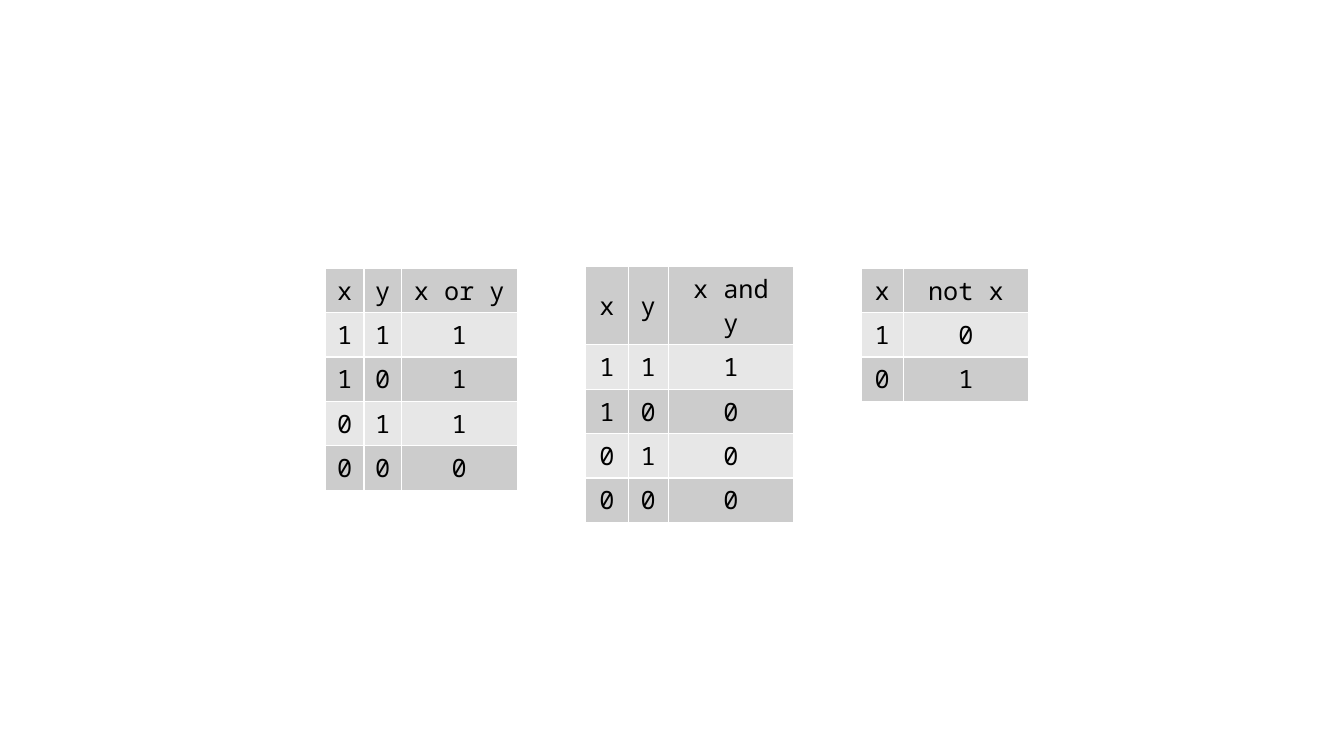
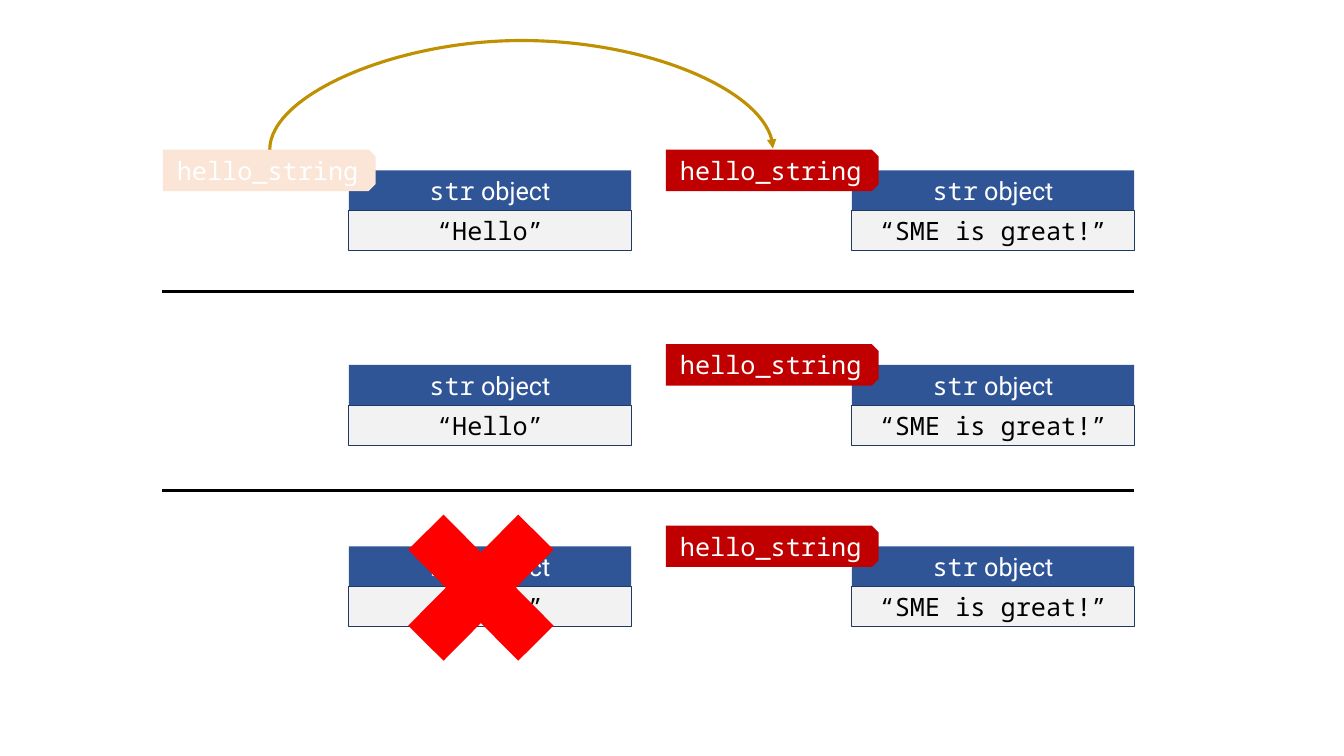
"""Build two slides: truth tables, and rebinding a name to a new string."""
from pptx import Presentation
from pptx import util as u
from pptx.dml.color import RGBColor
from pptx.enum import shapes, text
from pptx.oxml import ns
from lxml import etree

Inches = u.Inches
MONO, SANS = "Noto Sans Mono", "Roboto"
HUES = {
    "white": "FFFFFF", "black": "000000", "dark": "CCCCCC", "light": "E7E7E7",
    "blue": "2F5597", "navy": "203864", "pale": "F2F2F2", "faded": "FBE5D6",
    "red": "C00000", "cross": "FF0000", "gold": "BF9000",
}
RGB = {name: RGBColor.from_string(hue) for name, hue in HUES.items()}
KIND = shapes.MSO_SHAPE


def write(frame, runs, hue):
    para = frame.paragraphs[0]
    para.alignment = text.PP_ALIGN.CENTER
    for words, face in runs:
        run = para.add_run()
        run.text = words
        for key, value in {"name": face, "size": u.Pt(18), "bold": False}.items():
            setattr(run.font, key, value)
        run.font.color.rgb = RGB[hue]


def draw(kind, box, fill, runs=(), hue="white", edge=None):
    shape = slide.shapes.add_shape(kind, *map(Inches, box))
    shape.shadow.inherit = False
    shape.fill.solid()
    shape.fill.fore_color.rgb = RGB[fill]
    if edge:
        shape.line.color.rgb = RGB[edge]
        shape.line.width = u.Pt(0.75)
    else:
        shape.line.fill.background()
    frame = shape.text_frame
    form = {"word_wrap": True, "vertical_anchor": text.MSO_ANCHOR.MIDDLE,
            "margin_top": 0, "margin_bottom": 0}
    for key, value in form.items():
        setattr(frame, key, value)
    write(frame, runs, hue)
    return shape


deck = Presentation()
deck.slide_width, deck.slide_height = Inches(13.33), Inches(7.5)
blank = deck.slide_layouts[6]

slide = deck.slides.add_slide(blank)
PAIRS = ["11", "10", "01", "00"]
TABLES = [
    (3.23, 2.66, [0.38, 0.37, 1.15], ["x", "y", "x or y"], PAIRS, "1110"),
    (5.81, 2.64, [0.42, 0.4, 1.24], ["x", "y", "x and y"], PAIRS, "1000"),
    (8.54, 2.66, [0.42, 1.24], ["x", "not x"], ["1", "0"], "01"),
]
HIGH = 0.41
for left, top, wides, heads, inputs, outs in TABLES:
    rows = [heads] + [[*bits, out] for bits, out in zip(inputs, outs)]
    table = slide.shapes.add_table(
        len(rows), len(wides), Inches(left), Inches(top),
        Inches(sum(wides)), Inches(HIGH * len(rows))).table
    table.first_row = table.horz_banding = False
    for col, wide in zip(table.columns, wides):
        col.width = Inches(wide)
    for i, row in enumerate(rows):
        for j, words in enumerate(row):
            cell = table.cell(i, j)
            cell.vertical_anchor = text.MSO_ANCHOR.MIDDLE
            cell.fill.solid()
            cell.fill.fore_color.rgb = RGB["light" if i % 2 else "dark"]
            write(cell.text_frame, [(words, MONO)], "black")

slide = deck.slides.add_slide(blank)
OLD, NEW = 3.46, 8.45
WIDE, TALL = 2.8, 0.4
LONG, THIN = 2.11, 0.41
SHIFT = 0.79
TOPS = [1.69, 3.62, 5.42]
for top in TOPS:
    for left, words, tag in [(OLD, "“Hello”", "faded"), (NEW, "“SME is great!”", "red")]:
        draw(KIND.RECTANGLE, (left, top, WIDE, TALL), "blue",
             [("str", MONO), (" object", SANS)])
        draw(KIND.RECTANGLE, (left, top + TALL, WIDE, TALL), "pale",
             [(words, MONO)], "black", "navy")
        if left == OLD and top != TOPS[0]:
            continue
        mid = left - SHIFT
        label = draw(KIND.SNIP_2_SAME_RECTANGLE,
                     (mid - THIN / 2, top - LONG / 2, THIN, LONG), tag,
                     [("hello_string", MONO)])
        label.rotation = 90
        label.text_frame._txBody.bodyPr.set("vert", "vert270")

draw(KIND.MATH_MULTIPLY, (3.72, 4.77, 2.1, 2.12), "cross")

LINK = shapes.MSO_CONNECTOR
MID, RIM, HALF = (OLD + NEW) / 2 - SHIFT, 1.48, (NEW - OLD) / 2
WIRES = [
    (LINK.CURVE, (MID + 0.01, RIM + HALF, MID, RIM - HALF), "gold"),
    (LINK.STRAIGHT, (1.61, 2.89, NEW + WIDE, 2.89), "black"),
    (LINK.STRAIGHT, (1.61, 4.87, NEW + WIDE, 4.87), "black"),
]
for kind, ends, hue in WIRES:
    wire = slide.shapes.add_connector(kind, *map(Inches, ends))
    wire.line.color.rgb = RGB[hue]
    wire.line.width = u.Pt(2.25)
    props = wire._element.spPr
    etree.SubElement(props, ns.qn("a:effectLst"))
    if kind == LINK.CURVE:
        props.find(ns.qn("a:xfrm")).set("rot", "5400000")
        guides = props.find(ns.qn("a:prstGeom")).find(ns.qn("a:avLst"))
        etree.SubElement(guides, ns.qn("a:gd"), name="adj1", fmla="val 11000000")
        etree.SubElement(props.find(ns.qn("a:ln")), ns.qn("a:tailEnd"), type="triangle")

deck.save("out.pptx")
